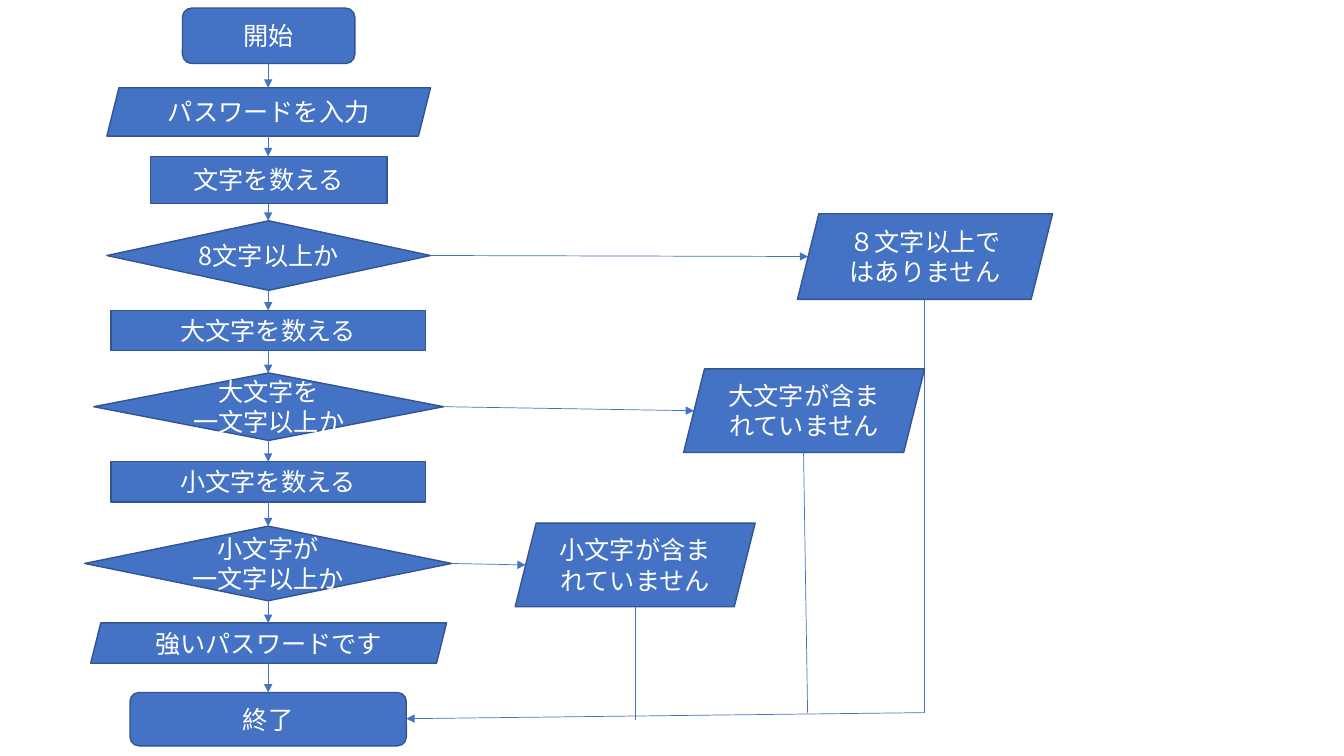
from lxml import etree
from pptx import Presentation
from pptx.dml.color import RGBColor
from pptx.enum.shapes import MSO_CONNECTOR, MSO_SHAPE
from pptx.enum.text import MSO_ANCHOR, PP_ALIGN
from pptx.oxml.ns import qn
from pptx.util import Pt

TERMINAL = MSO_SHAPE.ROUNDED_RECTANGLE
MESSAGE = MSO_SHAPE.PARALLELOGRAM
PROCESS = MSO_SHAPE.RECTANGLE
DECISION = MSO_SHAPE.DIAMOND
STRAIGHT = MSO_CONNECTOR.STRAIGHT
MIDDLE = MSO_ANCHOR.MIDDLE
CENTER = PP_ALIGN.CENTER

# Main column, top to bottom: kind, text, top, width, height
STEPS = [
    (TERMINAL, "開始", 8, 171, 55),
    (MESSAGE, "パスワードを入力", 87, 321, 48),
    (PROCESS, "文字を数える", 155, 235, 47),
    (DECISION, "8文字以上か", 219, 321, 69),
    (PROCESS, "大文字を数える", 308, 312, 40),
    (DECISION, "大文字を\n一文字以上か", 370, 347, 67),
    (PROCESS, "小文字を数える", 458, 312, 40),
    (DECISION, "小文字が\n一文字以上か", 522, 364, 74),
    (MESSAGE, "強いパスワードです", 618, 353, 40),
    (TERMINAL, "終了", 687, 274, 53),
]
# One per decision: text, left, top, width, height, end of the line below (x, y)
WARNINGS = [
    ("８文字以上ではありません", 791, 212, 253, 85, (917, 707)),
    ("大文字が含まれていません", 678, 366, 239, 83, (801, 707)),
    ("小文字が含まれていません", 511, 519, 238, 83, (630, 714)),
]

EMU_PER_PX = 9144
PAGE_WIDTH, PAGE_HEIGHT = 1333, 750
AXIS = 266
SLANT = 0.25  # parallelogram slant as a share of its height
BLUE, OUTLINE, WHITE = "4472C4", "325491", "FFFFFF"
FONT = "Noto Sans CJK JP"


def px(length):
    return round(length * EMU_PER_PX)


def color(value):
    return RGBColor.from_string(value)


def add_box(page, kind, text, left, top, width, height):
    box = page.shapes.add_shape(kind, px(left), px(top), px(width), px(height))
    box.shadow.inherit = False
    box.fill.solid()
    box.fill.fore_color.rgb = color(BLUE)
    box.line.color.rgb = color(OUTLINE)
    box.line.width = Pt(1)
    frame = box.text_frame
    frame.word_wrap = True
    frame.vertical_anchor = MIDDLE
    frame.text = text
    for para in frame.paragraphs:
        para.alignment = CENTER
        for span in para.runs:
            span.font.size = Pt(18)
            span.font.name = FONT
            span.font.color.rgb = color(WHITE)
            east_asian = etree.SubElement(span.font._element, qn("a:ea"))
            east_asian.set("typeface", FONT)


def add_line(page, start, end, arrow=True):
    line = page.shapes.add_connector(STRAIGHT, *map(px, start + end))
    line.line.color.rgb = color(BLUE)
    line.line.width = Pt(0.5)
    if arrow:
        etree.SubElement(line.line._get_or_add_ln(), qn("a:tailEnd")).set("type", "triangle")
    etree.SubElement(line._element.spPr, qn("a:effectLst"))


def main():
    deck = Presentation()
    deck.slide_width, deck.slide_height = px(PAGE_WIDTH), px(PAGE_HEIGHT)
    page = deck.slides.add_slide(deck.slide_layouts[6])

    # Main column
    for kind, text, top, width, height in STEPS:
        add_box(page, kind, text, AXIS - width // 2, top, width, height)
    for (_, _, top, _, height), following in zip(STEPS, STEPS[1:]):
        add_line(page, (AXIS, top + height), (AXIS, following[2]))

    # Warnings to the right of the decisions
    decisions = [step for step in STEPS if step[0] == DECISION]
    for decision, warning in zip(decisions, WARNINGS):
        _, _, decision_top, decision_width, decision_height = decision
        text, left, top, width, height, line_end = warning
        add_box(page, MESSAGE, text, left, top, width, height)
        decision_right = AXIS - decision_width // 2 + decision_width
        add_line(page, (decision_right, decision_top + decision_height / 2),
                 (left + height * SLANT / 2, top + height / 2))
        add_line(page, (left + width // 2, top + height), line_end, arrow=False)

    # Shared return to the end
    _, _, end_top, end_width, end_height = STEPS[-1]
    end_right = AXIS - end_width // 2 + end_width
    add_line(page, WARNINGS[0][-1], (end_right, end_top + end_height // 2))

    deck.save("out.pptx")


if __name__ == "__main__":
    main()
